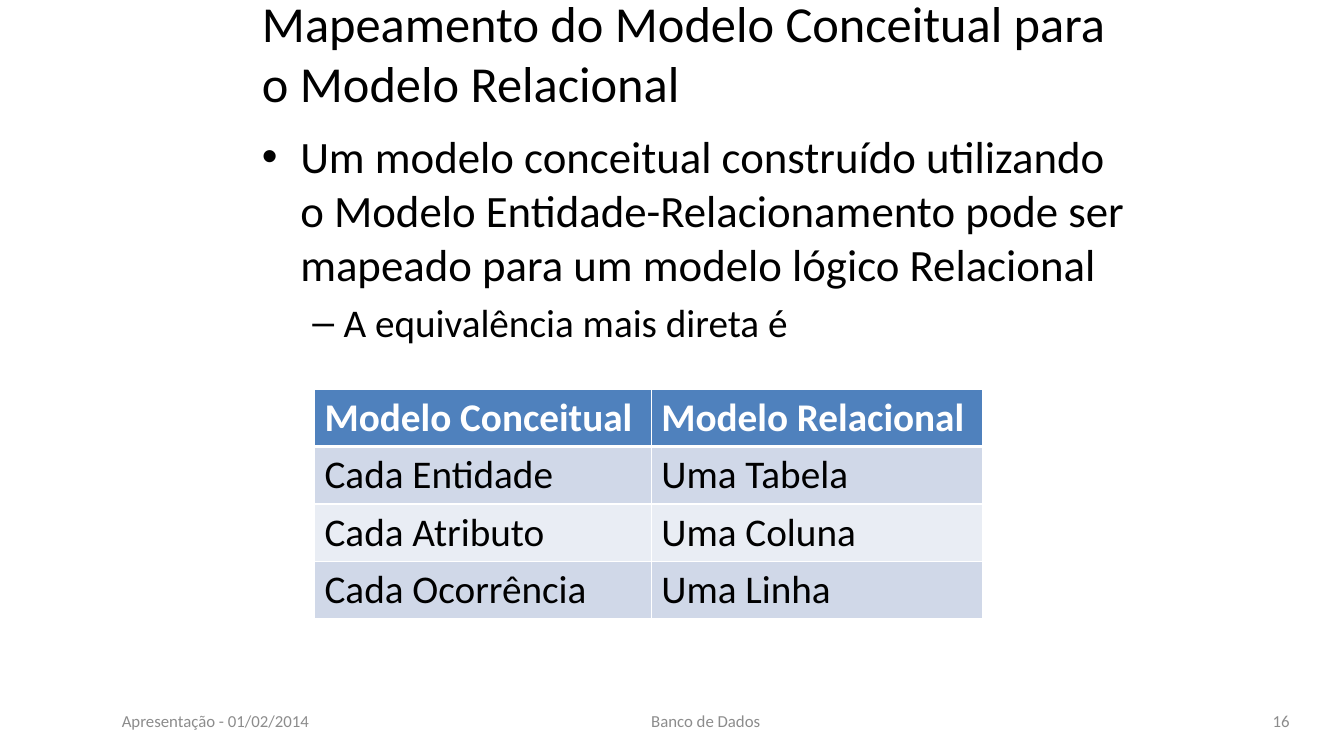
from lxml import etree
from pptx import Presentation
from pptx.dml.color import RGBColor
from pptx.enum.text import MSO_ANCHOR, PP_ALIGN
from pptx.oxml.ns import qn
from pptx.util import Inches, Pt

LEFT, CENTER, RIGHT = PP_ALIGN.LEFT, PP_ALIGN.CENTER, PP_ALIGN.RIGHT
TOP, MIDDLE = MSO_ANCHOR.TOP, MSO_ANCHOR.MIDDLE
FONT = "Calibri"
COLORS = {
    "text": "000000",
    "muted": "8C8C8C",
    "white": "FFFFFF",
    "head": "4F81BD",
    "odd": "D0D8E8",
    "even": "E9EDF4",
}


def color(name):
    return RGBColor.from_string(COLORS[name])


def style(para, size, tint="text", bold=False):
    for run in para.runs:
        run.font.name = FONT
        run.font.size = Pt(size)
        run.font.bold = bold
        run.font.color.rgb = color(tint)


def add_text(slide, box, text, size, tint="text", align=LEFT, anchor=MIDDLE):
    frame = slide.shapes.add_textbox(*map(Inches, box)).text_frame
    frame.word_wrap = True
    frame.vertical_anchor = anchor
    frame.text = text
    for para in frame.paragraphs:
        para.alignment = align
        style(para, size, tint)
    return frame


def add_bullet(para, mark, indent, hang):
    props = para._p.get_or_add_pPr()
    props.set("marL", str(Inches(indent)))
    props.set("indent", str(-Inches(hang)))
    font = etree.SubElement(props, qn("a:buFont"))
    font.set("typeface", "Arial")
    etree.SubElement(props, qn("a:buChar")).set("char", mark)


def add_body(slide, box, items):
    text = "\n".join(item[0] for item in items)
    frame = add_text(slide, box, text, 32, anchor=TOP)
    for para, (_, level, size, mark, indent, hang) in zip(frame.paragraphs, items):
        para.level = level
        para.space_before = Pt(size * 0.2)
        style(para, size)
        add_bullet(para, mark, indent, hang)


def add_border(cell, side, width):
    props = cell._tc.get_or_add_tcPr()
    line = etree.SubElement(props, qn("a:ln" + side), w=str(Pt(width)))
    fill = etree.SubElement(line, qn("a:solidFill"))
    etree.SubElement(fill, qn("a:srgbClr"), val=COLORS["white"])


def add_grid(slide, box, widths, rows):
    left, top, width, height = map(Inches, box)
    table = slide.shapes.add_table(
        len(rows), len(widths), left, top, width, height
    ).table
    for column, size in zip(table.columns, widths):
        column.width = Inches(size)
    for r, row in enumerate(rows):
        head = r == 0
        fill = "head" if head else "odd" if r % 2 else "even"
        for c, text in enumerate(row):
            cell = table.cell(r, c)
            cell.text = text
            style(cell.text_frame.paragraphs[0], 28, "white" if head else "text", head)
            for side in "LRTB":
                thick = (r, side) in ((0, "B"), (1, "T"))
                add_border(cell, side, 3 if thick else 1)
            cell.fill.solid()
            cell.fill.fore_color.rgb = color(fill)


def add_footer(slide, top, height, parts):
    for left, width, text, align in parts:
        add_text(slide, (left, top, width, height), text, 12, "muted", align)


deck = Presentation()
deck.slide_width, deck.slide_height = Inches(13.33), Inches(7.5)
slide = deck.slides.add_slide(deck.slide_layouts[6])

add_body(slide, (2.5, 1.23, 8.83, 2.6), [
    ("Um modelo conceitual construído utilizando o Modelo Entidade-Relacionamento "
     "pode ser mapeado para um modelo lógico Relacional", 0, 32, "•", 0.38, 0.38),
    ("A equivalência mais direta é", 1, 28, "–", 0.81, 0.31),
])
add_footer(slide, 6.95, 0.4, [
    (1.11, 3.11, "Apresentação - 01/02/2014", LEFT),
    (4.89, 4.22, "Banco de Dados", CENTER),
    (9.78, 3.11, "16", RIGHT),
])
add_text(slide, (2.5, 0.05, 8.83, 0.94),
         "Mapeamento do Modelo Conceitual para o Modelo Relacional", 36)
add_grid(slide, (3.12, 3.86, 6.63, 2.28), (3.34, 3.29), [
    ("Modelo Conceitual", "Modelo Relacional"),
    ("Cada Entidade", "Uma Tabela"),
    ("Cada Atributo", "Uma Coluna"),
    ("Cada Ocorrência", "Uma Linha"),
])
deck.save("out.pptx")
